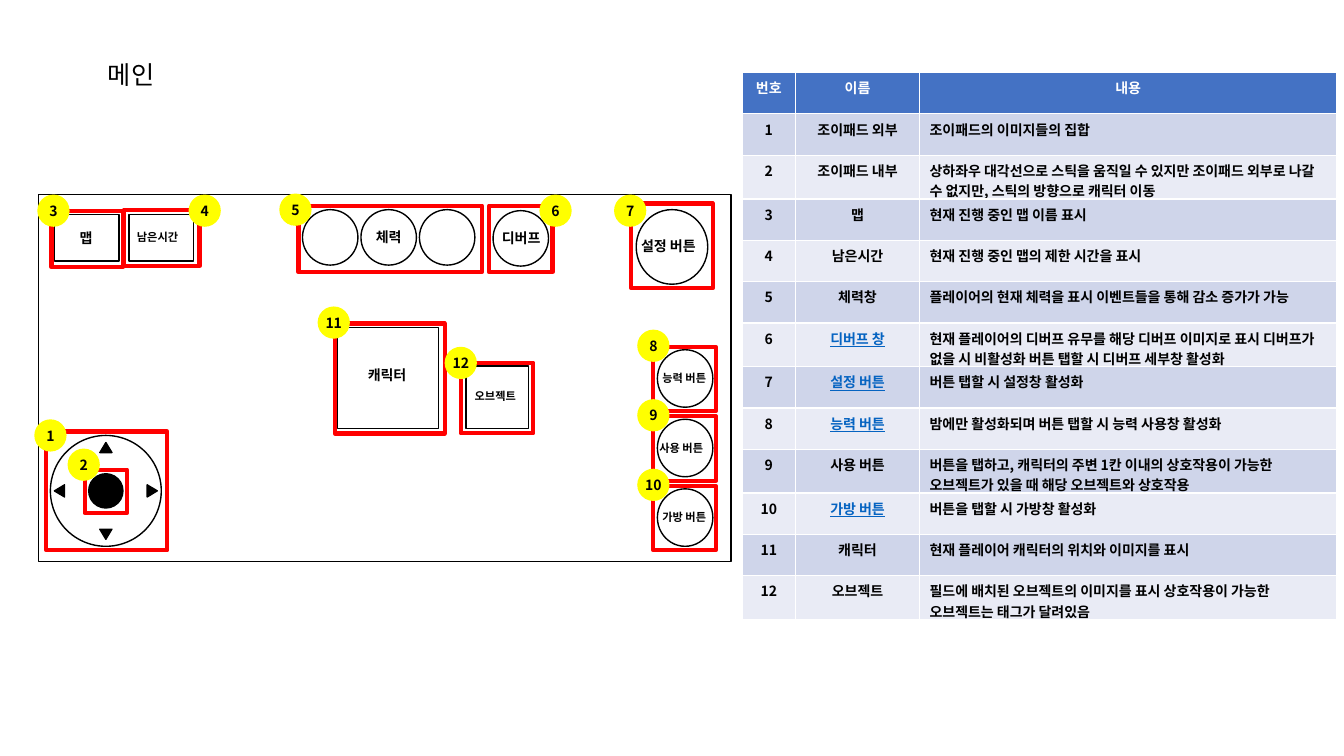
from pptx import Presentation
from pptx.dml.color import RGBColor
from pptx.enum.shapes import MSO_SHAPE
from pptx.enum.text import MSO_ANCHOR, PP_ALIGN
from pptx.oxml.ns import qn
from pptx.util import Inches, Pt

COLORS = {
    "black": "000000", "white": "FFFFFF", "red": "FF0000", "yellow": "FFFF00",
    "link": "0563C1", "header": "4472C4", "odd": "CFD5EA", "even": "E9EBF5",
}
FONT = "Noto Sans CJK KR"
BADGE_SIZE = 0.32


def color(name):
    """Return the named colour."""
    return RGBColor.from_string(COLORS[name])


class Board:
    """Holds the text style and the current page."""

    def __init__(self, page):
        """Start on the given page."""
        self.page = page
        self.style = {"name": FONT, "size": Pt(10), "bold": True}

    def add_text(self, frame, text, align=PP_ALIGN.LEFT, ink="black", **changes):
        """Put one formatted paragraph into a text frame."""
        para = frame.paragraphs[0]
        para.alignment = align
        span = para.add_run()
        span.text = text
        for key, value in {**self.style, **changes}.items():
            setattr(span.font, key, value)
        span.font.color.rgb = color(ink)
        properties = span._r.get_or_add_rPr()
        east_asian = properties.makeelement(qn("a:ea"), {"typeface": FONT})
        properties.find(qn("a:latin")).addnext(east_asian)

    def title(self, text, *area):
        """Move and fill the title placeholder."""
        box = self.page.shapes.title
        box.left, box.top, box.width, box.height = map(Inches, area)
        box.text_frame.vertical_anchor = MSO_ANCHOR.TOP
        self.add_text(box.text_frame, text, size=Pt(18), bold=False)

    def shape(self, kind, *area, fill=None, line="black", weight=1, turn=0):
        """Draw a preset shape."""
        box = self.page.shapes.add_shape(kind, *map(Inches, area))
        box.shadow.inherit = False
        box.rotation = turn
        if fill:
            box.fill.solid()
            box.fill.fore_color.rgb = color(fill)
        else:
            box.fill.background()
        if line:
            box.line.color.rgb = color(line)
            box.line.width = Pt(weight)
        else:
            box.line.fill.background()
        return box

    def label(self, text, left, top, width, size):
        """Add a one-line caption."""
        height = 0.27 if size == 10 else 0.24
        box = self.page.shapes.add_textbox(*map(Inches, (left, top, width, height)))
        box.text_frame.word_wrap = False
        self.add_text(box.text_frame, text, size=Pt(size))

    def badge(self, number, left, top):
        """Add a numbered yellow disc."""
        disc = self.shape(MSO_SHAPE.OVAL, left, top, BADGE_SIZE, BADGE_SIZE,
                          fill="yellow", line=None)
        frame = disc.text_frame
        settings = {"margin_left": 0, "margin_right": 0, "margin_top": 0,
                    "margin_bottom": 0, "word_wrap": False,
                    "vertical_anchor": MSO_ANCHOR.MIDDLE}
        for key, value in settings.items():
            setattr(frame, key, value)
        self.add_text(frame, str(number), PP_ALIGN.CENTER)

    def table(self, rows, linked, left, top, widths, height):
        """Add the description table with banded rows."""
        area = (left, top, sum(widths), height * len(rows))
        grid = self.page.shapes.add_table(
            len(rows), len(widths), *map(Inches, area)).table
        for column, width in zip(grid.columns, widths):
            column.width = Inches(width)
        for i, values in enumerate(rows):
            grid.rows[i].height = Inches(height)
            band = "header" if i == 0 else "odd" if i % 2 else "even"
            for j, text in enumerate(values):
                cell = grid.cell(i, j)
                cell.fill.solid()
                cell.fill.fore_color.rgb = color(band)
                is_link = j == 1 and i in linked
                ink = "white" if i == 0 else "link" if is_link else "black"
                align = PP_ALIGN.LEFT if i and j == 2 else PP_ALIGN.CENTER
                self.add_text(cell.text_frame, text, align, ink, underline=is_link)


DESCRIPTIONS = [
    ("조이패드 외부", "조이패드의 이미지들의 집합"),
    ("조이패드 내부", "상하좌우 대각선으로 스틱을 움직일 수 있지만 조이패드 외부로 나갈 수 없지만, 스틱의 방향으로 캐릭터 이동"),
    ("맵", "현재 진행 중인 맵 이름 표시"),
    ("남은시간", "현재 진행 중인 맵의 제한 시간을 표시"),
    ("체력창", "플레이어의 현재 체력을 표시 이벤트들을 통해 감소 증가가 가능"),
    ("디버프 창", "현재 플레이어의 디버프 유무를 해당 디버프 이미지로 표시 디버프가 없을 시 비활성화 버튼 탭할 시 디버프 세부창 활성화"),
    ("설정 버튼", "버튼 탭할 시 설정창 활성화"),
    ("능력 버튼", "밤에만 활성화되며 버튼 탭할 시 능력 사용창 활성화"),
    ("사용 버튼", "버튼을 탭하고, 캐릭터의 주변 1칸 이내의 상호작용이 가능한 오브젝트가 있을 때 해당 오브젝트와 상호작용"),
    ("가방 버튼", "버튼을 탭할 시 가방창 활성화"),
    ("캐릭터", "현재 플레이어 캐릭터의 위치와 이미지를 표시"),
    ("오브젝트", "필드에 배치된 오브젝트의 이미지를 표시 상호작용이 가능한 오브젝트는 태그가 달려있음"),
]
LINKED = {6, 7, 8, 10}

SCREEN_BOXES = [
    (0.38, 1.93, 6.87, 3.64), (0.54, 2.13, 0.64, 0.46), (1.28, 2.13, 0.64, 0.46),
    (3.35, 3.25, 1, 1), (4.62, 3.63, 0.62, 0.62),
]
HEALTH_CIRCLES = [(3 + 0.58 * i, 2.08, 0.55, 0.55) for i in range(3)]
ACTION_CIRCLES = [(6.52, 3.47 + 0.69 * i, 0.55, 0.57) for i in range(3)]
OTHER_CIRCLES = [(0.5, 4.32, 1.1, 1.1), (4.89, 2.09, 0.55, 0.55),
                 (6.31, 2.08, 0.71, 0.74)]
PAD_ARROWS = [(0.99, 4.39), (1.45, 4.82), (0.99, 5.25), (0.53, 4.82)]
LABELS = [
    ("맵", 0.69, 2.23, 0.42, 10), ("남은시간", 1.26, 2.24, 0.67, 8),
    ("체력", 3.63, 2.22, 0.5, 10), ("디버프", 4.88, 2.23, 0.63, 10),
    ("설정 버튼", 6.26, 2.31, 0.81, 10), ("능력 버튼", 6.47, 3.63, 0.72, 8),
    ("사용 버튼", 6.44, 4.33, 0.72, 8), ("가방 버튼", 6.47, 5.01, 0.72, 8),
    ("캐릭터", 3.55, 3.59, 0.63, 10), ("오브젝트", 4.61, 3.81, 0.64, 8),
]
MARKED_AREAS = [
    ((0.46, 4.28, 1.2, 1.18), (0.34, 4.16)),
    ((0.84, 4.66, 0.42, 0.43), (0.67, 4.45)),
    ((0.51, 2.09, 0.71, 0.56), (0.37, 1.93)),
    ((1.23, 2.08, 0.75, 0.56), (1.87, 1.93)),
    ((2.96, 2.04, 1.82, 0.66), (2.77, 1.92)),
    ((4.85, 2.04, 0.63, 0.66), (5.35, 1.93)),
    ((6.26, 2.02, 0.81, 0.84), (6.09, 1.93)),
    *[((6.48, 3.44 + 0.69 * i, 0.62, 0.64), (6.32, 3.27 + 0.69 * i))
      for i in range(3)],
    ((3.32, 3.21, 1.09, 1.09), (3.15, 3.04)),
    ((4.57, 3.6, 0.72, 0.7), (4.41, 3.44)),
]

deck = Presentation()
deck.slide_width, deck.slide_height = Inches(13.33), Inches(7.5)
board = Board(deck.slides.add_slide(deck.slide_layouts.get_by_name("Title Only")))
board.title("메인", 0.97, 0.54, 5.08, 0.4)

for area in SCREEN_BOXES:
    board.shape(MSO_SHAPE.RECTANGLE, *area)
for area in HEALTH_CIRCLES + ACTION_CIRCLES + OTHER_CIRCLES:
    board.shape(MSO_SHAPE.OVAL, *area)
board.shape(MSO_SHAPE.OVAL, 0.88, 4.7, 0.34, 0.34, fill="black")
for step, (left, top) in enumerate(PAD_ARROWS):
    board.shape(MSO_SHAPE.ISOSCELES_TRIANGLE, left, top, 0.12, 0.1,
                fill="black", turn=90 * step)
for label in LABELS:
    board.label(*label)
for number, (area, corner) in enumerate(MARKED_AREAS, 1):
    board.shape(MSO_SHAPE.RECTANGLE, *area, line="red", weight=3)
    board.badge(number, *corner)

rows = [("번호", "이름", "내용")]
rows += [(str(i), *entry) for i, entry in enumerate(DESCRIPTIONS, 1)]
board.table(rows, LINKED, 7.36, 0.72, (0.53, 1.23, 4.14), 0.41)

deck.save("out.pptx")
